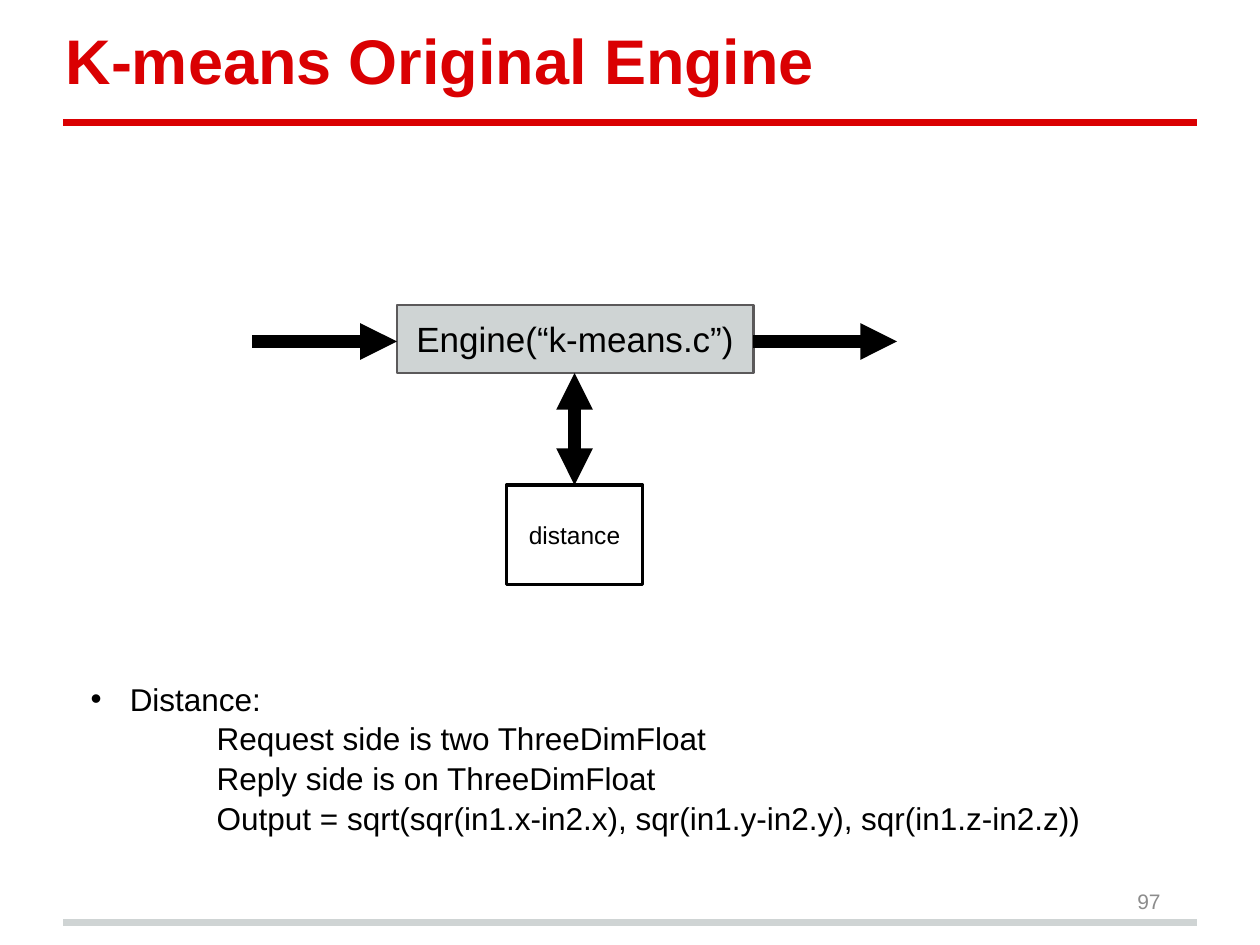
import pptx
import pptx.util
import pptx.dml.color
import pptx.enum.shapes
import pptx.enum.text
import pptx.oxml
import pptx.oxml.ns
from lxml import etree

PX = 9144  # EMU; 100 px to the inch
RED = pptx.dml.color.RGBColor(0xDA, 0x00, 0x02)
SILVER = pptx.dml.color.RGBColor(0xCF, 0xD4, 0xD4)
SLATE = pptx.dml.color.RGBColor(0x5B, 0x59, 0x5A)
GRAY = pptx.dml.color.RGBColor(0x8C, 0x8C, 0x8C)
BLACK = pptx.dml.color.RGBColor(0, 0, 0)
WHITE = pptx.dml.color.RGBColor(255, 255, 255)
ALIGN = pptx.enum.text.PP_ALIGN
ANCHOR = pptx.enum.text.MSO_ANCHOR


def px(*lengths):
    return [pptx.util.Emu(length * PX) for length in lengths]


def place(shape, left, top, width, height):
    shape.left, shape.top, shape.width, shape.height = px(left, top, width, height)


def set_frame(shape, anchor, margin_x=10, margin_y=5):
    frame = shape.text_frame
    frame.word_wrap = True
    frame.auto_size = pptx.enum.text.MSO_AUTO_SIZE.NONE
    frame.vertical_anchor = anchor
    frame.margin_left, frame.margin_right = px(margin_x, margin_x)
    frame.margin_top, frame.margin_bottom = px(margin_y, margin_y)
    return frame


def set_text(para, text, size, color, align=ALIGN.LEFT, bold=False):
    para.text = text
    para.alignment = align
    para.space_before = pptx.util.Pt(0)
    para.font.name = "Arial"
    para.font.size = pptx.util.Pt(size)
    para.font.bold = bold
    para.font.color.rgb = color


def set_indent(para, margin, first, bullet=None):
    """Indent a paragraph, with a bullet character or none."""
    properties = para._p.get_or_add_pPr()
    properties.set("marL", str(margin * PX))
    properties.set("indent", str(first * PX))
    tag = "a:buChar" if bullet else "a:buNone"
    mark = etree.SubElement(properties, pptx.oxml.ns.qn(tag))
    if bullet:
        mark.set("char", bullet)


def add_line(page, start, end, color, width, heads=()):
    """Draw a straight line; heads names the arrowed ends (headEnd, tailEnd)."""
    line = page.shapes.add_connector(
        pptx.enum.shapes.MSO_CONNECTOR.STRAIGHT, *px(*start, *end))
    line.line.color.rgb = color
    line.line.width = pptx.util.Pt(width)
    outline = line.line._get_or_add_ln()
    for head in heads:
        etree.SubElement(outline, pptx.oxml.ns.qn("a:" + head), type="triangle")
    etree.SubElement(line._element.spPr, pptx.oxml.ns.qn("a:effectLst"))


def add_block(page, area, text, size, fill, border, border_width):
    block = page.shapes.add_shape(
        pptx.enum.shapes.MSO_SHAPE.RECTANGLE, *px(*area))
    block.shadow.inherit = False
    block.fill.solid()
    block.fill.fore_color.rgb = fill
    block.line.color.rgb = border
    block.line.width = pptx.util.Pt(border_width)
    frame = set_frame(block, ANCHOR.MIDDLE)
    set_text(frame.paragraphs[0], text, size, BLACK, ALIGN.CENTER)


def add_title(page, left, top, width, height):
    title = page.shapes.title
    place(title, left, top, width, height)
    para = set_frame(title, ANCHOR.BOTTOM, 10, 10).paragraphs[0]
    set_indent(para, 0, 25)
    set_text(para, "K-means Original Engine", 36, RED, bold=True)


def add_diagram(page, left, top, width, height):
    """Engine with input and output arrows, linked to the block below it."""
    engine_width, engine_height = 283, 54
    distance_width, distance_height = 108, 79
    middle = left + width // 2
    engine_left = middle - engine_width // 2
    engine_right = engine_left + engine_width
    distance_top = top + height - distance_height
    flow = top + 29

    add_block(page, (engine_left, top, engine_width, engine_height),
              "Engine(“k-means.c”)", 20, SILVER, SLATE, 1.5)
    add_block(page, (middle - distance_width // 2, distance_top,
                     distance_width, distance_height),
              "distance", 14, WHITE, BLACK, 2)
    add_line(page, (left, flow), (engine_left, flow), BLACK, 7, ["tailEnd"])
    add_line(page, (engine_right, flow), (left + width, flow), BLACK, 7, ["tailEnd"])
    add_line(page, (middle, distance_top), (middle, top + engine_height),
             BLACK, 7, ["headEnd", "tailEnd"])


def add_notes_list(page, left, top, width, height):
    body = page.placeholders[1]
    place(body, left, top, width, height)
    frame = set_frame(body, ANCHOR.TOP)
    lines = [
        "Distance:",
        "Request side is two ThreeDimFloat",
        "Reply side is on ThreeDimFloat",
        "Output = sqrt(sqr(in1.x-in2.x), sqr(in1.y-in2.y), sqr(in1.z-in2.z))",
    ]
    for index, text in enumerate(lines):
        if index == 0:
            para = frame.paragraphs[0]
            set_indent(para, 31, -31, "•")
        else:
            para = frame.add_paragraph()
            para.level = 1
            set_indent(para, 100, 0)
        set_text(para, text, 18, BLACK)
        para.line_spacing = 1.05


def add_page_number(page, left, top, width, height):
    box = page.shapes.add_textbox(*px(left, top, width, height))
    frame = set_frame(box, ANCHOR.MIDDLE)
    set_text(frame.paragraphs[0], "97", 12, GRAY, ALIGN.RIGHT)


def main():
    deck = pptx.Presentation()
    deck.slide_width, deck.slide_height = px(1000, 750)
    page = deck.slides.add_slide(deck.slide_layouts[1])
    for height, color in ((732, SILVER), (97, RED)):
        add_line(page, (50, height), (950, height), color, 4)
    add_title(page, 17, 6, 950, 81)
    add_diagram(page, 200, 242, 512, 222)
    add_notes_list(page, 62, 533, 858, 131)
    add_page_number(page, 706, 695, 225, 40)
    deck.save("out.pptx")


if __name__ == "__main__":
    main()
